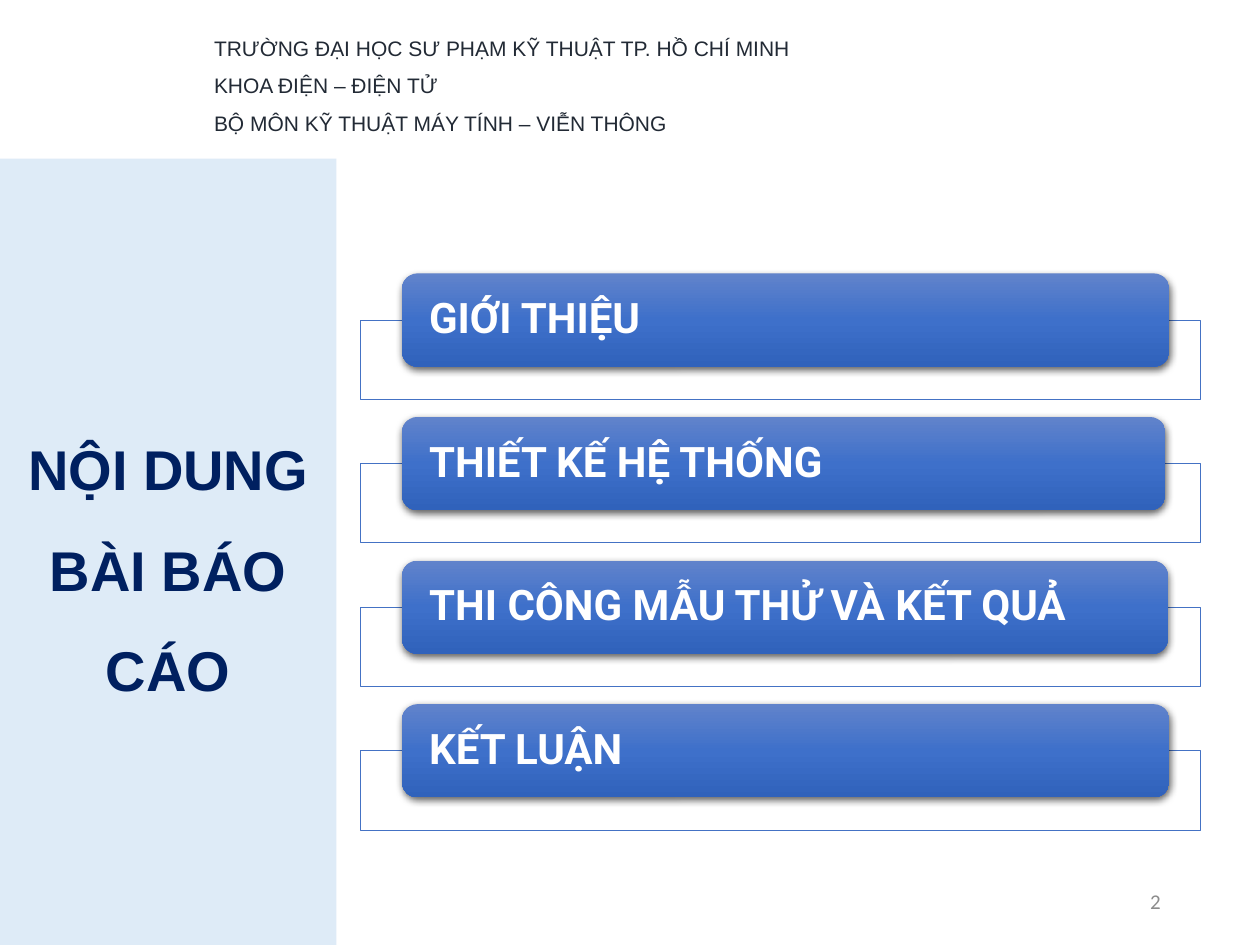
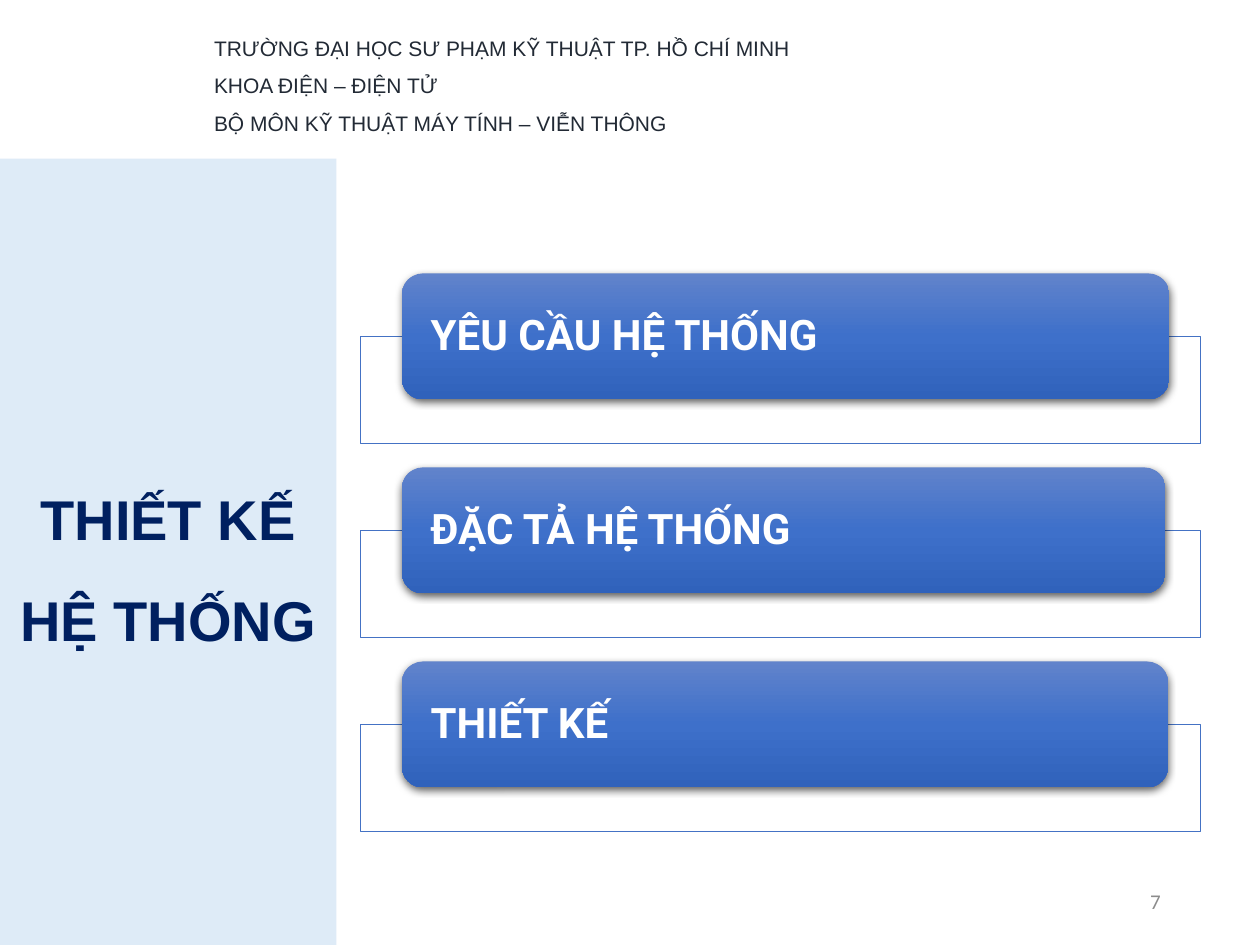
"""Builds two Vietnamese section slides: a title panel beside a stack of topic bars."""
from copy import deepcopy

from lxml.etree import SubElement
from pptx import Presentation
from pptx.dml.color import RGBColor
from pptx.enum.shapes import MSO_SHAPE
from pptx.enum.text import MSO_ANCHOR, MSO_AUTO_SIZE, PP_ALIGN
from pptx.oxml.ns import qn
from pptx.util import Inches, Pt

WHITE = RGBColor(0xFF, 0xFF, 0xFF)
PANEL_BLUE = RGBColor(0xDE, 0xEB, 0xF7)
NAVY = RGBColor(0x00, 0x20, 0x60)
HEADER_INK = RGBColor(0x22, 0x2A, 0x35)
FRAME_BLUE = RGBColor(0x44, 0x72, 0xC4)
NUMBER_GREY = RGBColor(0x8C, 0x8C, 0x8C)
BAR_STOPS = [
    (0, RGBColor(0x61, 0x83, 0xCB)),
    (0.5, RGBColor(0x3E, 0x70, 0xCA)),
    (1, RGBColor(0x30, 0x62, 0xBB)),
]

HEADER_LINES = [
    "TRƯỜNG ĐẠI HỌC SƯ PHẠM KỸ THUẬT TP. HỒ CHÍ MINH",
    "KHOA ĐIỆN – ĐIỆN TỬ",
    "BỘ MÔN KỸ THUẬT MÁY TÍNH – VIỄN THÔNG",
]
SECTIONS = [
    ("NỘI DUNG BÀI BÁO CÁO", "2", 0.74,
     ["GIỚI THIỆU", "THIẾT KẾ HỆ THỐNG", "THI CÔNG MẪU THỬ VÀ KẾT QUẢ", "KẾT LUẬN"]),
    ("THIẾT KẾ HỆ THỐNG", "7", 1.0,
     ["YÊU CẦU HỆ THỐNG", "ĐẶC TẢ HỆ THỐNG", "THIẾT KẾ"]),
]
BAR_WIDTHS = [6.09, 6.06, 6.08, 6.09]
FIRST_BAR_TOP = 2.17
PITCH_RATIO = 1.54
FRAME_RATIO = 0.85


def style_text(frame, font_name, size, color, bold=False, align=PP_ALIGN.LEFT, spacing=1.0):
    frame.word_wrap = True
    for paragraph in frame.paragraphs:
        paragraph.alignment = align
        paragraph.line_spacing = spacing
        paragraph.font.name = font_name
        paragraph.font.size = Pt(size)
        paragraph.font.bold = bold
        paragraph.font.color.rgb = color


def paint_bar(bar):
    bar.line.fill.background()
    bar.fill.gradient()
    bar.fill.gradient_angle = 270
    stop_list = bar._element.spPr.find(".//" + qn("a:gsLst"))
    stop_list.insert(1, deepcopy(stop_list[0]))
    for stop, (position, color) in zip(bar.fill.gradient_stops, BAR_STOPS):
        stop.position = position
        stop.color.rgb = color
    bar.shadow.inherit = False
    effects = bar._element.spPr.find(qn("a:effectLst"))
    shadow = SubElement(effects, qn("a:outerShdw"), blurRad=str(Pt(4.5)),
                        dist=str(Pt(1.5)), dir="5400000", algn="ctr", rotWithShape="0")
    shadow_color = SubElement(shadow, qn("a:srgbClr"), val="000000")
    SubElement(shadow_color, qn("a:alpha"), val="63000")


prs = Presentation()
prs.slide_width = Inches(10)
prs.slide_height = Inches(7.5)

for section, page, bar_height, topics in SECTIONS:
    slide = prs.slides.add_slide(prs.slide_layouts[5])

    panel = slide.shapes.title
    panel.left, panel.top = Inches(0), Inches(1.26)
    panel.width, panel.height = Inches(2.67), Inches(6.24)
    panel.fill.solid()
    panel.fill.fore_color.rgb = PANEL_BLUE
    panel.text_frame.text = section
    panel.text_frame.auto_size = MSO_AUTO_SIZE.NONE
    panel.text_frame.vertical_anchor = MSO_ANCHOR.MIDDLE
    style_text(panel.text_frame, "Arial", 32, NAVY, True, PP_ALIGN.CENTER, 1.5)

    header = slide.shapes.add_textbox(Inches(1.6), Inches(0.13), Inches(8.29), Inches(0.97))
    header.text_frame.text = "\n".join(HEADER_LINES)
    style_text(header.text_frame, "Arial", 12, HEADER_INK, spacing=1.5)

    for row, (topic, bar_width) in enumerate(zip(topics, BAR_WIDTHS)):
        bar_top = FIRST_BAR_TOP + row * bar_height * PITCH_RATIO

        frame = slide.shapes.add_shape(
            MSO_SHAPE.RECTANGLE, Inches(2.86), Inches(bar_top + bar_height / 2),
            Inches(6.67), Inches(bar_height * FRAME_RATIO))
        frame.shadow.inherit = False
        frame.fill.solid()
        frame.fill.fore_color.rgb = WHITE
        frame_color = frame._element.spPr.find(qn("a:solidFill"))[0]
        SubElement(frame_color, qn("a:alpha"), val="90000")
        frame.line.color.rgb = FRAME_BLUE
        frame.line.width = Pt(0.5)

        bar = slide.shapes.add_shape(
            MSO_SHAPE.ROUNDED_RECTANGLE, Inches(3.19), Inches(bar_top),
            Inches(bar_width), Inches(bar_height))
        paint_bar(bar)
        label = bar.text_frame
        label.text = topic
        label.margin_left = label.margin_right = Inches(0.18)
        label.margin_top = label.margin_bottom = 0
        label.vertical_anchor = MSO_ANCHOR.MIDDLE
        style_text(label, "Roboto", 24, WHITE, True, spacing=0.9)

    page_number = slide.shapes.add_textbox(Inches(7.06), Inches(6.95), Inches(2.25), Inches(0.4))
    page_number.text_frame.text = page
    page_number.text_frame.vertical_anchor = MSO_ANCHOR.MIDDLE
    style_text(page_number.text_frame, "Calibri", 12, NUMBER_GREY, align=PP_ALIGN.RIGHT)

prs.save("out.pptx")
